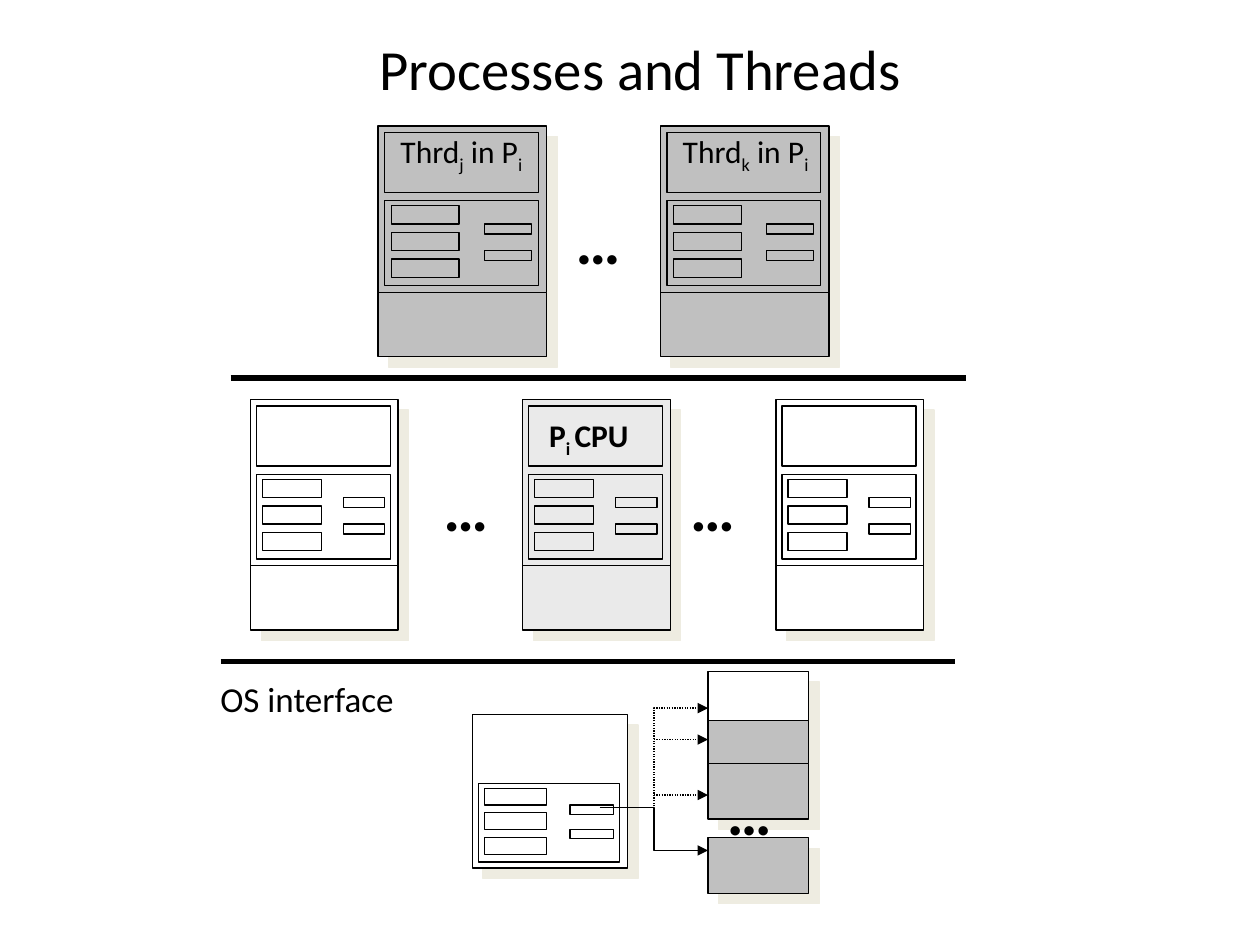
import pptx
import pptx.util
import pptx.dml.color
import pptx.enum.dml
import pptx.enum.shapes
import pptx.enum.text
import pptx.oxml
import pptx.oxml.ns

RGB = pptx.dml.color.RGBColor
BLACK, WHITE = RGB(0, 0, 0), RGB(255, 255, 255)
GRAY, PALE = RGB(0xC0, 0xC0, 0xC0), RGB(0xEA, 0xEA, 0xEA)
NS = pptx.oxml.ns.nsdecls("a")
SHADOW = (f'<a:outerShdw {NS} dist="107950" dir="2700000" algn="ctr" rotWithShape="0">'
          '<a:srgbClr val="EEECE1"/></a:outerShdw>')
ARROW = f'<a:tailEnd {NS} type="triangle"/>'
FONT = "Calibri"

# Content: left, top, width, fill, runs of the label (text, is subscript)
TITLE = [("Processes and Threads", False)]
NOTE = [("OS interface", False)]
DOTS = [("…", False)]
THREADS = [
    (3.0, 1.0, 1.34, GRAY, [("Thrd", False), ("j", True), (" in P", False), ("i", True)]),
    (5.24, 1.0, 1.34, GRAY, [("Thrd", False), ("k", True), (" in P", False), ("i", True)]),
]
TASKS = [
    (6.16, 3.17, 1.17, WHITE, []),
    (4.15, 3.17, 1.17, PALE, [("P", False), ("i ", True), ("CPU", False)]),
    (1.99, 3.17, 1.17, WHITE, []),
]
GAPS = [(5.38, 3.67), (3.42, 3.67), (4.47, 1.55)]
RULES = [(1.75, 7.58, 5.25), (1.83, 7.67, 3.0)]
MEMORY = [(5.33, 0.39, WHITE), (5.72, 0.34, GRAY), (6.06, 0.44, GRAY), (6.65, 0.44, GRAY)]
BUS, PORT = 5.19, 5.62

# Parts of a machine, as shares of its width and height
PARTS = [(0.04, 0.45, 0.91, 0.51)]
PARTS += [(0.08, 0.48 + 0.16 * row, 0.4, 0.11) for row in range(3)]
PARTS += [(0.63, 0.59 + 0.16 * row, 0.28, 0.06) for row in range(2)]
HEAD = (0.04, 0.04, 0.91, 0.36)
TALL, FOOT = 1.32, 0.51

inch = pptx.util.Inches
deck = pptx.Presentation()
deck.slide_width, deck.slide_height = inch(10), inch(7.5)
slide = deck.slides.add_slide(deck.slide_layouts[6])


def box(home, x, y, w, h, fill, shade=False):
    rect = home.add_shape(pptx.enum.shapes.MSO_SHAPE.RECTANGLE,
                          inch(x), inch(y), inch(w), inch(h))
    rect.shadow.inherit = False
    if shade:
        effects = rect._element.spPr.find(pptx.oxml.ns.qn("a:effectLst"))
        effects.append(pptx.oxml.parse_xml(SHADOW))
    rect.fill.solid()
    rect.fill.fore_color.rgb = fill
    rect.line.color.rgb = BLACK
    rect.line.width = pptx.util.Pt(0.75)


def label(home, x, y, w, h, runs, size, bold=False, wrap=False, fill=None):
    text = home.add_textbox(inch(x), inch(y), inch(w), inch(h))
    if fill is not None:
        text.fill.solid()
        text.fill.fore_color.rgb = fill
    frame = text.text_frame
    frame.word_wrap = wrap
    frame.auto_size = pptx.enum.text.MSO_AUTO_SIZE.SHAPE_TO_FIT_TEXT
    for words, low in runs:
        run = frame.paragraphs[0].add_run()
        run.text = words
        run.font.name, run.font.size = FONT, pptx.util.Pt(size)
        run.font.bold, run.font.color.rgb = bold, BLACK
        if low:
            run._r.get_or_add_rPr().set("baseline", "-25000")
    return text


def stroke(line, width, dotted=False, arrow=False):
    line.color.rgb = BLACK
    line.width = pptx.util.Pt(width)
    if dotted:
        line.dash_style = pptx.enum.dml.MSO_LINE.ROUND_DOT
    if arrow:
        line._get_or_add_ln().append(pptx.oxml.parse_xml(ARROW))


def link(home, x1, x2, y, width, dotted=False, arrow=False):
    wire = home.add_connector(pptx.enum.shapes.MSO_CONNECTOR.STRAIGHT,
                              inch(x1), inch(y), inch(x2), inch(y))
    wire._element.spPr.append(pptx.oxml.parse_xml(f"<a:effectLst {NS}/>"))
    stroke(wire.line, width, dotted, arrow)


def bend(home, points, dotted=False):
    """Draw an open angled path that ends in an arrowhead."""
    start, *rest = [(inch(x), inch(y)) for x, y in points]
    path = home.build_freeform(*start)
    path.add_line_segments(rest, close=False)
    wire = path.convert_to_shape()
    wire.shadow.inherit = False
    wire.fill.background()
    stroke(wire.line, 0.75, dotted, True)


def parts(home, x, y, w, h, fill, shares):
    for px, py, pw, ph in shares:
        box(home, x + px * w, y + py * h, pw * w, ph * h, fill)


def machine(x, y, w, fill):
    home = slide.shapes.add_group_shape().shapes
    box(home, x, y, w, TALL, fill, True)
    parts(home, x, y, w, TALL, fill, PARTS + [HEAD])
    box(home, x, y + TALL, w, FOOT, fill, True)
    return home


title = label(slide.shapes, 0.83, 0.25, 8.5, 0.58, TITLE, 32.4, wrap=True)
title.text_frame.auto_size = pptx.enum.text.MSO_AUTO_SIZE.NONE
title.text_frame.vertical_anchor = pptx.enum.text.MSO_ANCHOR.MIDDLE
title.text_frame.paragraphs[0].alignment = pptx.enum.text.PP_ALIGN.CENTER
label(slide.shapes, 1.65, 5.33, 1.6, 0.43, NOTE, 20)
for x1, x2, y in RULES:
    link(slide.shapes, x1, x2, y, 3)
for x, y in GAPS:
    label(slide.shapes, x, y, 0.7, 0.7, DOTS, 36, True, fill=WHITE)

# Real CPU and its memory
host = slide.shapes.add_group_shape().shapes
box(host, 3.75, 5.67, 1.23, 1.22, WHITE, True)
parts(host, 3.75, 5.67, 1.23, 1.22, WHITE, PARTS)
for y, h, fill in MEMORY:
    box(host, PORT, y, 0.8, h, fill, True)
bend(host, [(4.76, 6.41), (BUS, 6.41), (BUS, 6.75), (PORT, 6.75)])
bend(host, [(BUS, 6.4), (BUS, 5.62), (PORT, 5.62)], True)
for y in (5.87, 6.31):
    link(host, BUS, PORT, y, 0.75, True, True)
label(host, 5.67, 6.08, 0.7, 0.7, DOTS, 36, True)

for x, y, w, fill, runs in TASKS:
    machine(x, y, w, fill)
    if runs:
        label(slide.shapes, x + 0.11, y + 0.08, 1.08, 0.4, runs, 18, True, True)
for x, y, w, fill, runs in THREADS:
    label(machine(x, y, w, fill), x + 0.08, y, 1.26, 0.4, runs, 18)

deck.save("out.pptx")
